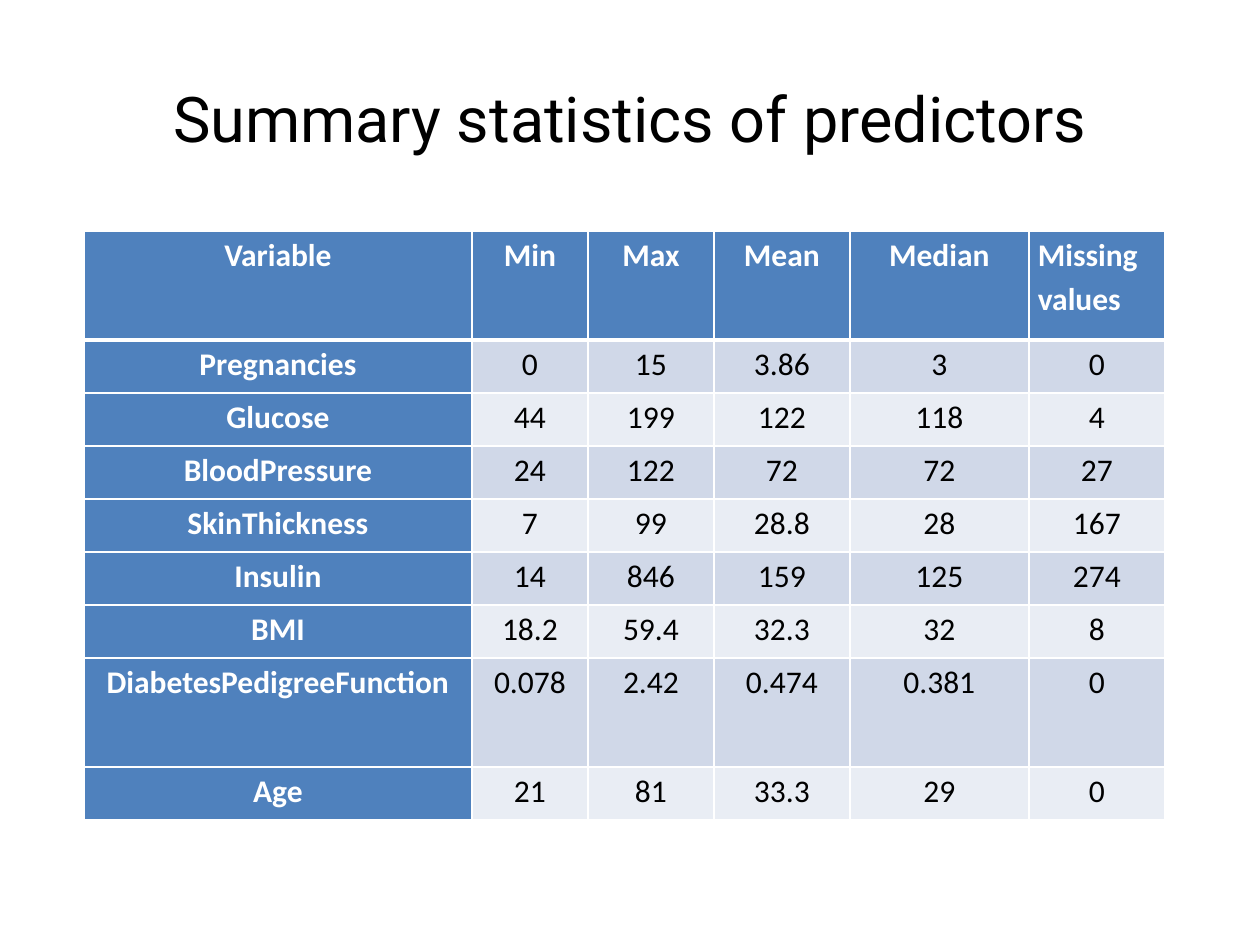
from dataclasses import dataclass

from lxml import etree
from pptx import Presentation
from pptx.dml.color import RGBColor
from pptx.enum.text import MSO_ANCHOR, PP_ALIGN
from pptx.oxml.ns import qn
from pptx.util import Emu, Pt

SCALE = 914400 // 126
LEFT, CENTER = PP_ALIGN.LEFT, PP_ALIGN.CENTER
TOP, MIDDLE = MSO_ANCHOR.TOP, MSO_ANCHOR.MIDDLE

WHITE = RGBColor(0xFF, 0xFF, 0xFF)
BLACK = RGBColor(0x00, 0x00, 0x00)
BLUE = RGBColor(0x4F, 0x81, 0xBD)
BANDS = (RGBColor(0xE9, 0xED, 0xF4), RGBColor(0xD0, 0xD8, 0xE8))

HEADS = ("Variable", "Min", "Max", "Mean", "Median", "Missing values")
WIDTHS = (388, 116, 126, 136, 179, 136)
SHORT, TALL = 53, 109
INSET = 9


@dataclass(frozen=True)
class Stat:
    """One predictor with its summary figures."""
    name: str
    low: str
    high: str
    mean: str
    median: str
    missing: str
    height: int = SHORT

    def texts(self) -> tuple[str, ...]:
        """Return the cell texts in column order."""
        return (self.name, self.low, self.high,
                self.mean, self.median, self.missing)


STATS = (
    Stat("Pregnancies", "0", "15", "3.86", "3", "0"),
    Stat("Glucose", "44", "199", "122", "118", "4"),
    Stat("BloodPressure", "24", "122", "72", "72", "27"),
    Stat("SkinThickness", "7", "99", "28.8", "28", "167"),
    Stat("Insulin", "14", "846", "159", "125", "274"),
    Stat("BMI", "18.2", "59.4", "32.3", "32", "8"),
    Stat("DiabetesPedigreeFunction", "0.078", "2.42", "0.474", "0.381", "0",
         TALL),
    Stat("Age", "21", "81", "33.3", "29", "0"),
)


def px(count: int) -> Emu:
    """Turn pixels into EMU."""
    return Emu(count * SCALE)


def style(para, face: str, size: int, color: RGBColor, bold: bool) -> None:
    """Set the font of a paragraph."""
    font = para.font
    font.name, font.size, font.bold = face, Pt(size), bold
    font.color.rgb = color


def add_title(slide, text: str) -> None:
    """Add the centred slide title."""
    box = slide.shapes.add_textbox(px(63), px(38), px(1134), px(158))
    frame = box.text_frame
    frame.word_wrap = True
    frame.vertical_anchor = MIDDLE
    para = frame.paragraphs[0]
    para.text, para.alignment = text, CENTER
    style(para, "Roboto", 36, BLACK, False)


def add_edges(cell, row: int) -> None:
    """Draw white borders, thicker between the head and the body."""
    props = cell._tc.get_or_add_tcPr()
    thick = {0: "B", 1: "T"}.get(row)
    for spot, side in enumerate("LRTB"):
        width = Pt(3 if side == thick else 1)
        line = etree.Element(qn("a:ln" + side), w=str(int(width)))
        fill = etree.SubElement(line, qn("a:solidFill"))
        etree.SubElement(fill, qn("a:srgbClr"), val=str(WHITE))
        props.insert(spot, line)


def fill_cell(cell, text: str, row: int, col: int) -> None:
    """Write and style one cell by its place in the grid."""
    head = row == 0 or col == 0
    cell.margin_left = cell.margin_right = px(INSET)
    cell.margin_top = cell.margin_bottom = 0
    cell.vertical_anchor = TOP
    cell.fill.solid()
    cell.fill.fore_color.rgb = BLUE if head else BANDS[row % 2]
    para = cell.text_frame.paragraphs[0]
    para.text = text
    last = row == 0 and col == len(HEADS) - 1
    para.alignment = LEFT if last else CENTER
    para.line_spacing, para.space_after = 1.15, Pt(10)
    style(para, "Calibri", 18, WHITE if head else BLACK, head)
    add_edges(cell, row)


def add_stats(slide) -> None:
    """Add the table of predictors."""
    rows = (HEADS, *(stat.texts() for stat in STATS))
    heights = (TALL, *(stat.height for stat in STATS))
    table = slide.shapes.add_table(
        len(rows), len(HEADS), px(84), px(231),
        px(sum(WIDTHS)), px(sum(heights))).table
    table.first_col = True
    for col, width in enumerate(WIDTHS):
        table.columns[col].width = px(width)
    for row, texts in enumerate(rows):
        table.rows[row].height = px(heights[row])
        for col, text in enumerate(texts):
            fill_cell(table.cell(row, col), text, row, col)


def main() -> None:
    """Build and save the slide."""
    deck = Presentation()
    deck.slide_width, deck.slide_height = px(1260), px(945)
    slide = deck.slides.add_slide(deck.slide_layouts[6])
    add_title(slide, "Summary statistics of predictors")
    add_stats(slide)
    deck.save("out.pptx")


main()
